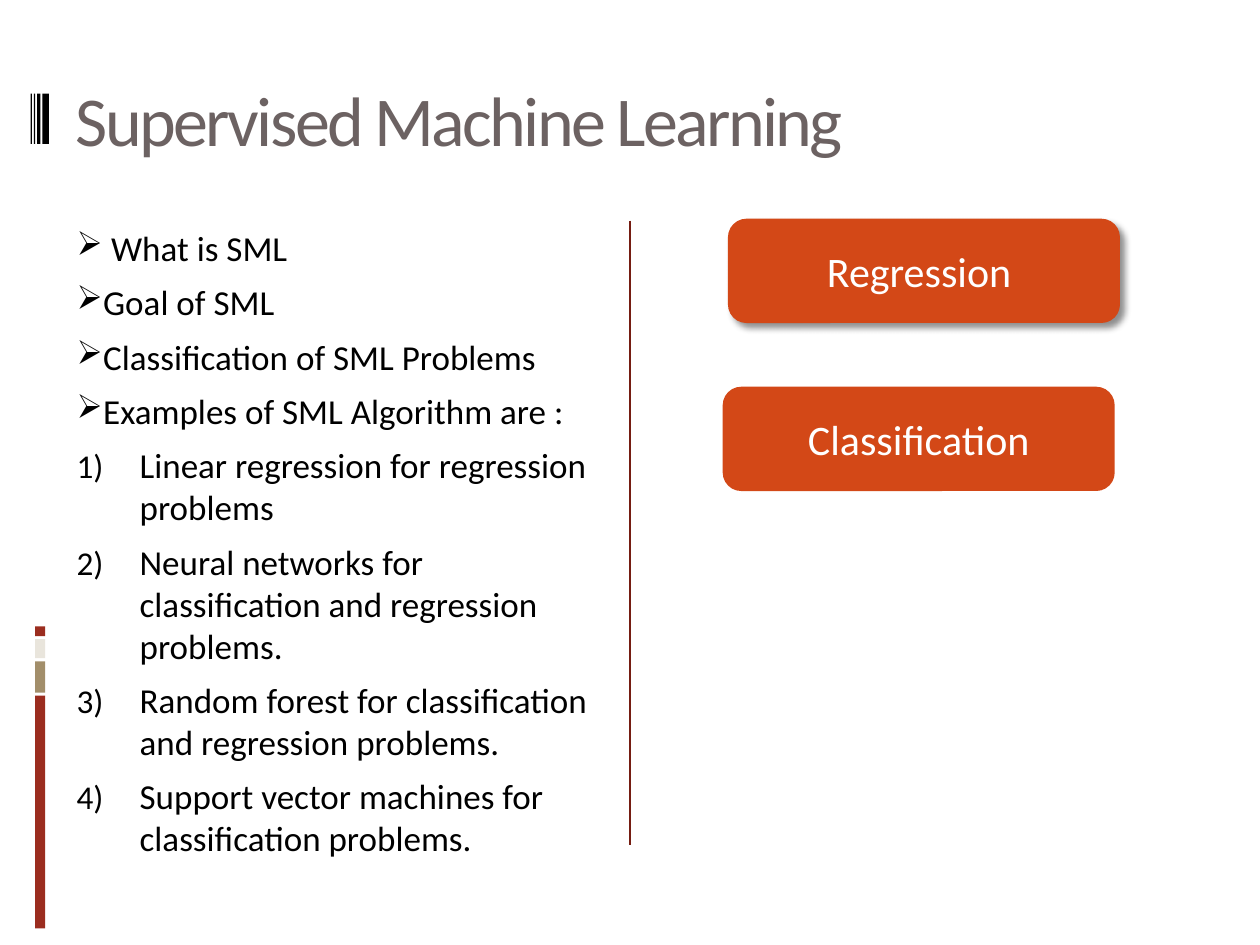
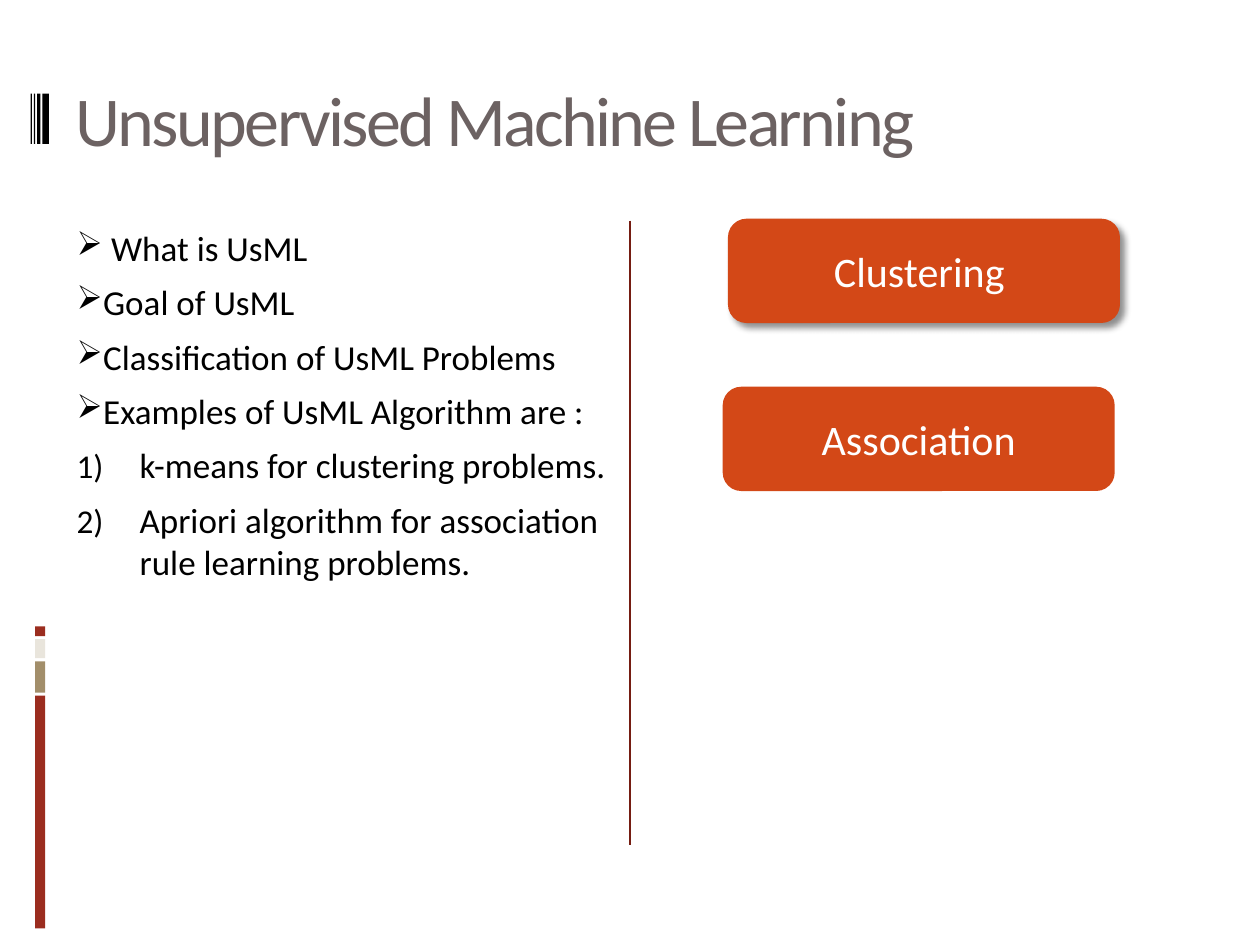
from lxml.etree import SubElement
from pptx import Presentation
from pptx.dml.color import RGBColor
from pptx.enum.shapes import MSO_CONNECTOR, MSO_SHAPE
from pptx.enum.text import MSO_ANCHOR, PP_ALIGN
from pptx.oxml.ns import qn
from pptx.util import Pt

FONT = "Calibri"
RED, TAN, CREAM, BLACK = "9B2D1F", "A28E6A", "E9E5DC", "000000"
DIVIDER, TITLE, BUTTON, WHITE = "751D12", "6C6262", "D34817", "FFFFFF"

SIDE_BARS = [(358, 5.6, RED), (365.2, 11, CREAM), (378, 17.8, TAN), (397.6, 133, RED)]
BARCODE = [(17.5, 0.7), (19.4, 0.8), (21.2, 1.9), (24.2, 3.8)]

SLIDES = [
    ("Supervised Machine Learning", "SML",
     ["Linear regression for regression problems",
      "Neural networks for classification and regression problems.",
      "Random forest for classification and regression problems.",
      "Support vector machines for classification problems."],
     ["Regression ", "Classification"]),
    ("Unsupervised Machine Learning", "UsML",
     ["k-means for clustering problems.",
      "Apriori algorithm for association rule learning problems."],
     ["Clustering ", "Association"]),
]


def rgb(color):
    """Turn a hex string into a colour."""
    return RGBColor.from_string(color)


def add_run(p, text, size, color):
    """Add one formatted run to a paragraph."""
    r = p.add_run()
    r.text = text
    r.font.size = Pt(size)
    r.font.name = FONT
    r.font.color.rgb = rgb(color)
    return r


def add_box(s, kind, x, y, w, h, color):
    """Add a filled shape without outline or shadow."""
    sp = s.shapes.add_shape(kind, Pt(x), Pt(y), Pt(w), Pt(h))
    sp.shadow.inherit = False
    sp.fill.solid()
    sp.fill.fore_color.rgb = rgb(color)
    sp.line.fill.background()
    return sp


def add_decoration(s):
    """Draw the side bars, the barcode and the column divider."""
    for y, h, color in SIDE_BARS:
        add_box(s, MSO_SHAPE.RECTANGLE, 20, y, 5.8, h, color)
    for x, w in BARCODE:
        add_box(s, MSO_SHAPE.RECTANGLE, x, 53.5, w, 28.8, BLACK)
    line = s.shapes.add_connector(MSO_CONNECTOR.STRAIGHT, Pt(360), Pt(126), Pt(360), Pt(483))
    line.line.color.rgb = rgb(DIVIDER)
    line.line.width = Pt(0.75)
    SubElement(line._element.spPr, qn("a:effectLst"))


def set_title(s, text):
    """Place and format the slide title."""
    sp = s.shapes.title
    sp.left, sp.top, sp.width, sp.height = Pt(36), Pt(16.5), Pt(648), Pt(102)
    tf = sp.text_frame
    tf.vertical_anchor = MSO_ANCHOR.MIDDLE
    p = tf.paragraphs[0]
    p.alignment = PP_ALIGN.LEFT
    r = add_run(p, text, 40, TITLE)
    r._r.get_or_add_rPr().set("spc", "-150")


def add_item(p, text, numbered):
    """Fill a paragraph as a numbered or arrow list item."""
    p.space_before = Pt(7)
    pPr = p._p.get_or_add_pPr()
    indent = Pt(36) if numbered else 0
    pPr.set("marL", str(indent))
    pPr.set("indent", str(-indent))
    SubElement(pPr, qn("a:buSzPct"), val="95000")
    if numbered:
        SubElement(pPr, qn("a:buFont"), typeface=FONT)
        SubElement(pPr, qn("a:buAutoNum"), type="arabicParenR")
    else:
        SubElement(pPr, qn("a:buChar"), char="➢")
    add_run(p, text, 20, BLACK)


def add_topics(s, subject, examples):
    """Add the list of topics followed by the numbered examples."""
    topics = [f" What is {subject}", f"Goal of {subject}",
              f"Classification of {subject} Problems",
              f"Examples of {subject} Algorithm are :"]
    tf = s.shapes.add_textbox(Pt(36.7), Pt(126), Pt(318.2), Pt(356.4)).text_frame
    tf.word_wrap = True
    for i, text in enumerate(topics + examples):
        p = tf.add_paragraph() if i else tf.paragraphs[0]
        add_item(p, text, i >= len(topics))


def add_shadow(sp):
    """Give a shape a soft shadow to the lower right."""
    effects = sp._element.spPr.find(qn("a:effectLst"))
    shadow = SubElement(effects, qn("a:outerShdw"), blurRad=str(Pt(4)), dist=str(Pt(4)),
                        dir="2700000", algn="tl", rotWithShape="0")
    color = SubElement(shadow, qn("a:srgbClr"), val=BLACK)
    SubElement(color, qn("a:alpha"), val="43000")


def add_button(s, text, x, y):
    """Add a rounded button naming a kind of problem."""
    sp = add_box(s, MSO_SHAPE.ROUNDED_RECTANGLE, x, y, 222, 57.6, BUTTON)
    sp.adjustments[0] = 0.167
    sp.line.color.rgb = rgb(BUTTON)
    sp.line.width = Pt(2)
    tf = sp.text_frame
    tf.word_wrap = True
    tf.vertical_anchor = MSO_ANCHOR.MIDDLE
    p = tf.paragraphs[0]
    p.alignment = PP_ALIGN.CENTER
    add_run(p, text, 24, WHITE)
    return sp


def main():
    """Build the slides and save them."""
    prs = Presentation()
    prs.slide_width, prs.slide_height = Pt(720), Pt(540)
    for title, subject, examples, (first, second) in SLIDES:
        s = prs.slides.add_slide(prs.slide_layouts[5])
        add_decoration(s)
        set_title(s, title)
        add_topics(s, subject, examples)
        add_shadow(add_button(s, first, 417, 126))
        add_button(s, second, 414, 222)
    prs.save("out.pptx")


if __name__ == "__main__":
    main()
